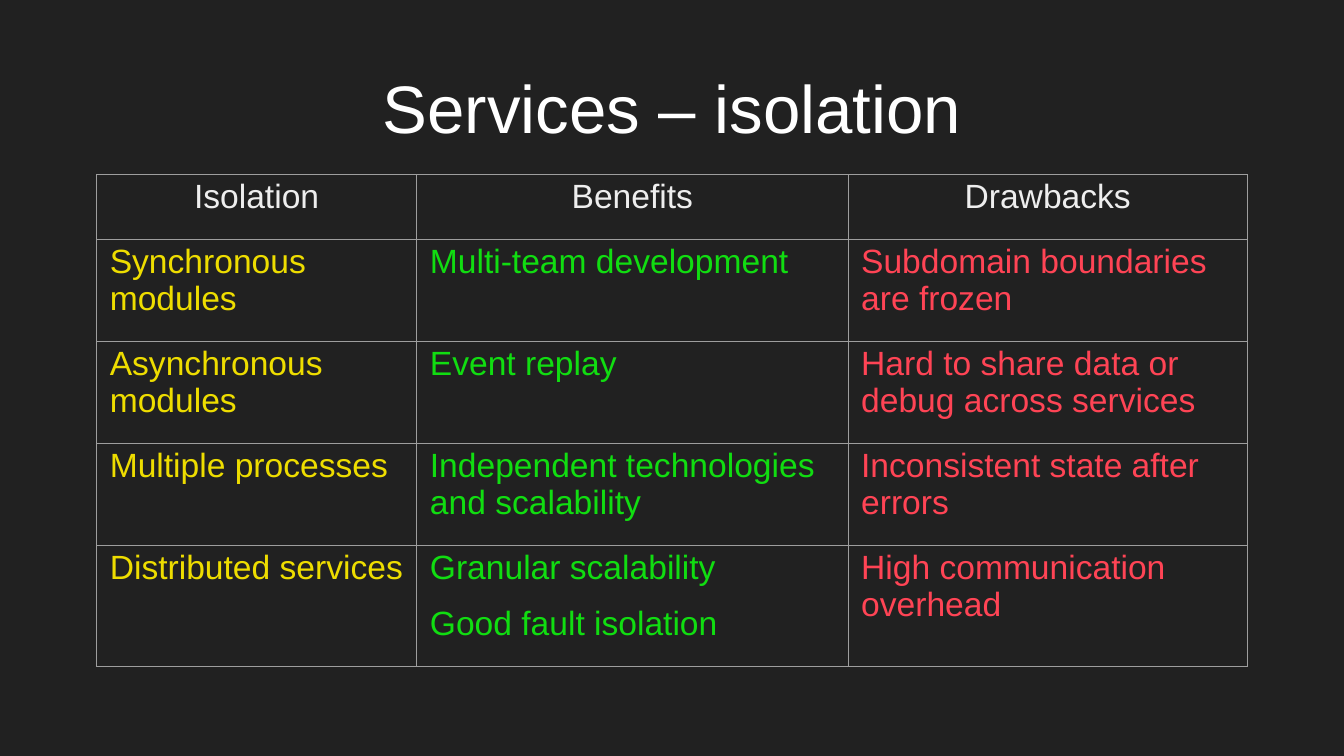
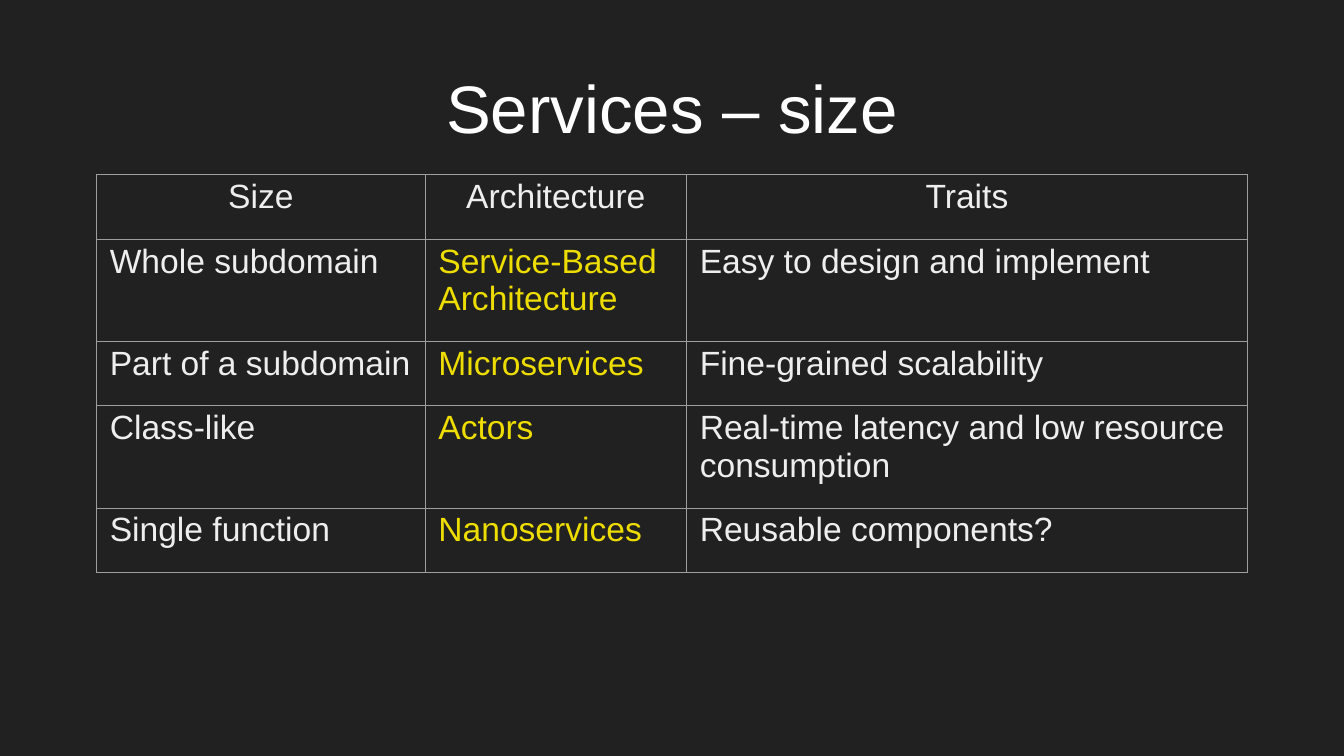
"""Build two dark slides that compare services by isolation and by size."""
from dataclasses import dataclass

from lxml.etree import SubElement
from pptx import Presentation
from pptx.dml.color import RGBColor
from pptx.enum.text import MSO_ANCHOR as Anchor, PP_ALIGN as Align
from pptx.oxml.ns import qn
from pptx.util import Cm, Pt

FONT = "Arial"
BACKGROUND, WHITE, LIGHT, GRID = "212121", "FFFFFF", "EEEEEE", "9E9E9E"
YELLOW, GREEN, RED = "EEDD00", "11DD11", "FF4455"

PAGE_WIDTH, PAGE_HEIGHT = 50.8, 28.58
TITLE_TOP, TITLE_WIDTH, TITLE_HEIGHT = 2.46, 47.35, 3.18
TABLE_TOP = 6.6
SIDE_INSET, CELL_INSET = 0.5, 0.13
ONE_LINE, TWO_LINES, TWO_PARAGRAPHS = 2.44, 3.86, 4.57
PARAGRAPH_GAP = 20


@dataclass(frozen=True)
class Column:
    """A table column with its heading, width in cm and body colour."""
    heading: str
    width: float
    color: str


@dataclass(frozen=True)
class Row:
    """A body row with its height in cm and one text per column."""
    height: float
    texts: tuple[str, ...]


@dataclass(frozen=True)
class Comparison:
    """A slide with a title and a table."""
    title: str
    columns: tuple[Column, ...]
    rows: tuple[Row, ...]


COMPARISONS = (
    Comparison(
        "Services – isolation",
        (Column("Isolation", 12.1, YELLOW),
         Column("Benefits", 16.3, GREEN),
         Column("Drawbacks", 15.1, RED)),
        (Row(TWO_LINES, ("Synchronous modules", "Multi-team development",
                         "Subdomain boundaries are frozen")),
         Row(TWO_LINES, ("Asynchronous modules", "Event replay",
                         "Hard to share data or debug across services")),
         Row(TWO_LINES, ("Multiple processes",
                         "Independent technologies and scalability",
                         "Inconsistent state after errors")),
         Row(TWO_PARAGRAPHS, ("Distributed services",
                              "Granular scalability\nGood fault isolation",
                              "High communication overhead"))),
    ),
    Comparison(
        "Services – size",
        (Column("Size", 12.42, LIGHT),
         Column("Architecture", 9.88, YELLOW),
         Column("Traits", 21.2, LIGHT)),
        (Row(TWO_LINES, ("Whole subdomain", "Service-Based Architecture",
                         "Easy to design and implement")),
         Row(ONE_LINE, ("Part of a subdomain", "Microservices",
                        "Fine-grained scalability")),
         Row(TWO_LINES, ("Class-like", "Actors",
                         "Real-time latency and low resource consumption")),
         Row(ONE_LINE, ("Single function", "Nanoservices",
                        "Reusable components?"))),
    ),
)


def rgb(color: str) -> RGBColor:
    """Turn a hex string into a colour."""
    return RGBColor.from_string(color)


def write(frame, text: str, size: int, color: str, align: Align) -> None:
    """Fill a text frame and format its paragraphs."""
    frame.text = text
    for index, para in enumerate(frame.paragraphs):
        para.alignment = align
        if index:
            para.space_before = Pt(PARAGRAPH_GAP)
        for span in para.runs:
            span.font.name = FONT
            span.font.size = Pt(size)
            span.font.color.rgb = rgb(color)


def add_title(page, text: str) -> None:
    """Add the centred slide title."""
    box = page.shapes.add_textbox(
        Cm((PAGE_WIDTH - TITLE_WIDTH) / 2), Cm(TITLE_TOP),
        Cm(TITLE_WIDTH), Cm(TITLE_HEIGHT))
    frame = box.text_frame
    frame.word_wrap = True
    frame.vertical_anchor = Anchor.MIDDLE
    frame.margin_left = frame.margin_right = Cm(SIDE_INSET)
    frame.margin_top = frame.margin_bottom = Cm(SIDE_INSET)
    write(frame, text, 72, WHITE, Align.CENTER)


def add_borders(cell) -> None:
    """Draw a thin line on all four sides of a cell."""
    properties = cell._tc.get_or_add_tcPr()
    for side in ("a:lnL", "a:lnR", "a:lnT", "a:lnB"):
        line = SubElement(properties, qn(side), w=str(Pt(0.75)))
        fill = SubElement(line, qn("a:solidFill"))
        SubElement(fill, qn("a:srgbClr"), val=GRID)


def fill_cell(cell, text: str, color: str, align: Align) -> None:
    """Style one table cell and write its text."""
    add_borders(cell)
    cell.fill.background()
    cell.margin_left = cell.margin_right = Cm(SIDE_INSET)
    cell.margin_top = cell.margin_bottom = Cm(CELL_INSET)
    write(cell.text_frame, text, 36, color, align)


def add_comparison_table(page, comparison: Comparison) -> None:
    """Add the table, centred across the slide."""
    columns = comparison.columns
    header = Row(ONE_LINE, tuple(column.heading for column in columns))
    rows = (header, *comparison.rows)
    width = sum(column.width for column in columns)
    height = sum(row.height for row in rows)
    table = page.shapes.add_table(
        len(rows), len(columns), Cm((PAGE_WIDTH - width) / 2), Cm(TABLE_TOP),
        Cm(width), Cm(height)).table
    table.first_row = table.horz_banding = False
    for index, column in enumerate(columns):
        table.columns[index].width = Cm(column.width)
    for row_index, row in enumerate(rows):
        table.rows[row_index].height = Cm(row.height)
        for index, (column, text) in enumerate(zip(columns, row.texts)):
            color, align = ((LIGHT, Align.CENTER) if row is header
                            else (column.color, Align.LEFT))
            fill_cell(table.cell(row_index, index), text, color, align)


def main() -> None:
    """Build and save the deck."""
    deck = Presentation()
    deck.slide_width, deck.slide_height = Cm(PAGE_WIDTH), Cm(PAGE_HEIGHT)
    blank = deck.slide_layouts[6]
    for comparison in COMPARISONS:
        page = deck.slides.add_slide(blank)
        page.background.fill.solid()
        page.background.fill.fore_color.rgb = rgb(BACKGROUND)
        add_title(page, comparison.title)
        add_comparison_table(page, comparison)
    deck.save("out.pptx")


if __name__ == "__main__":
    main()
